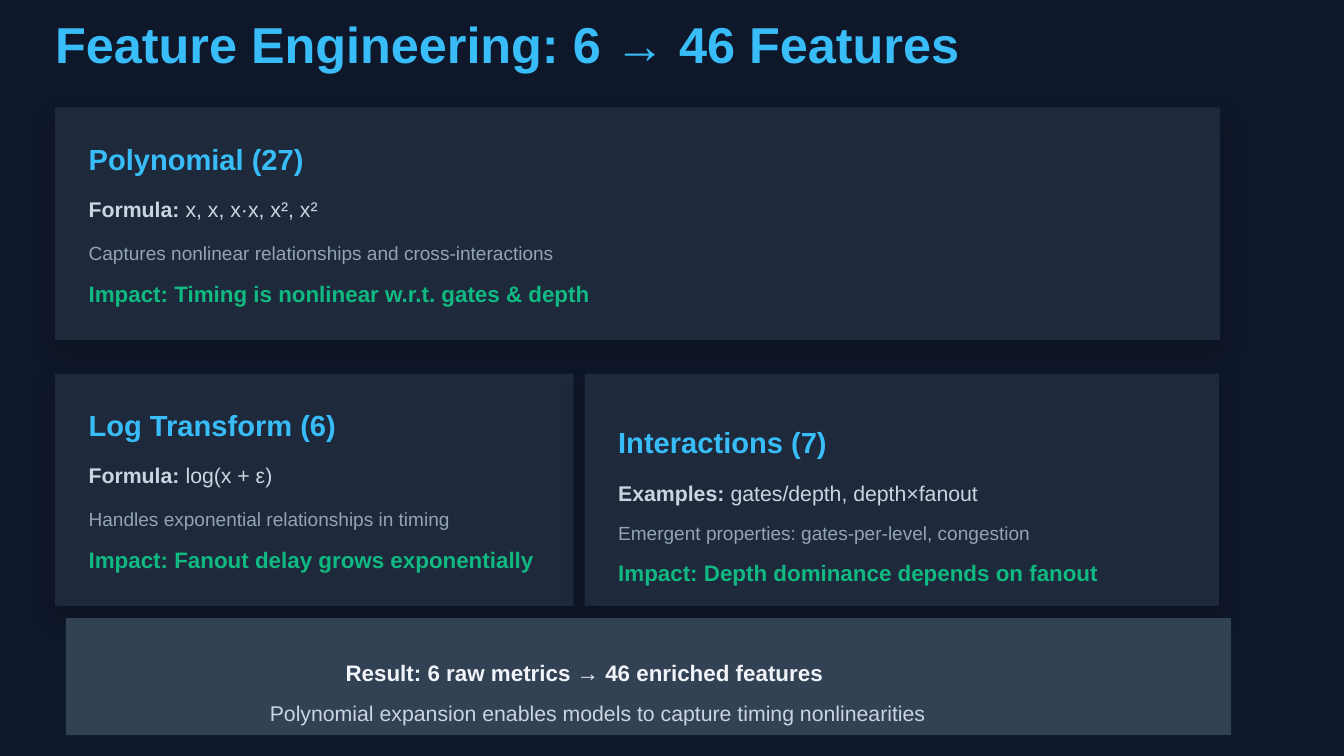
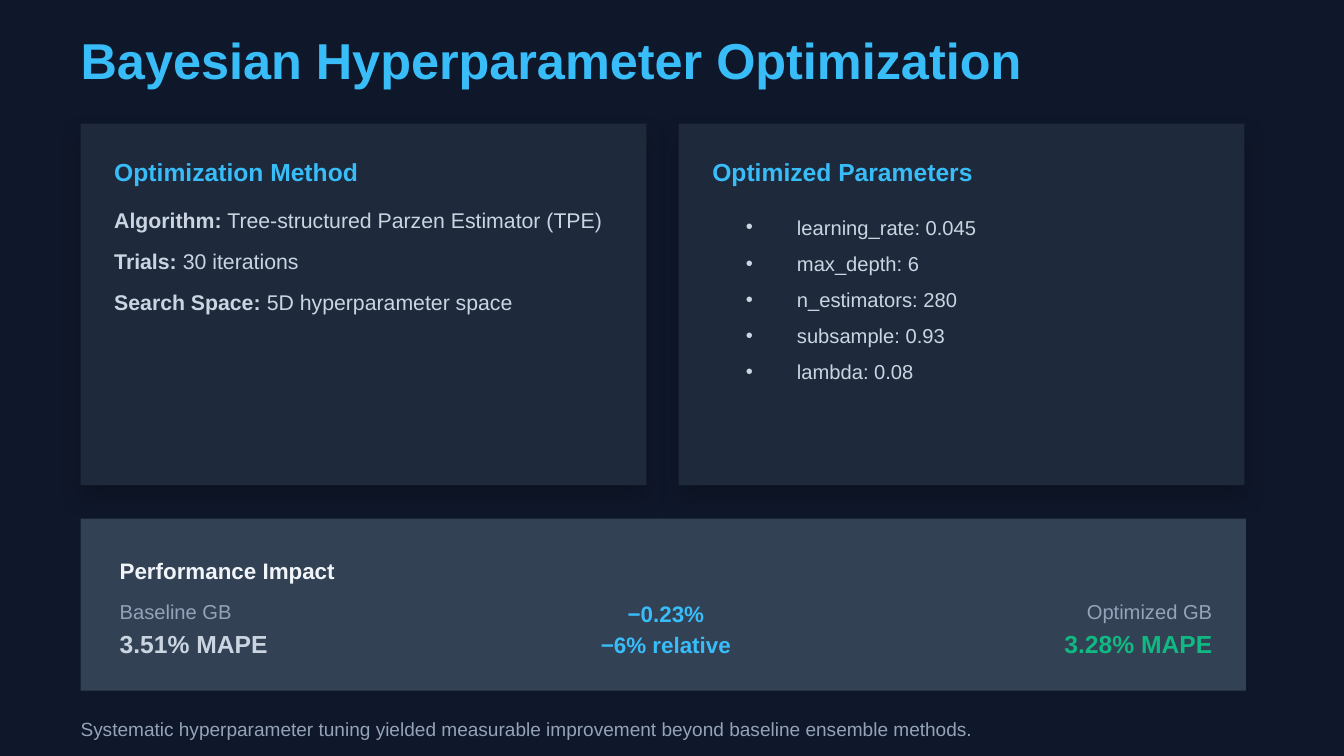
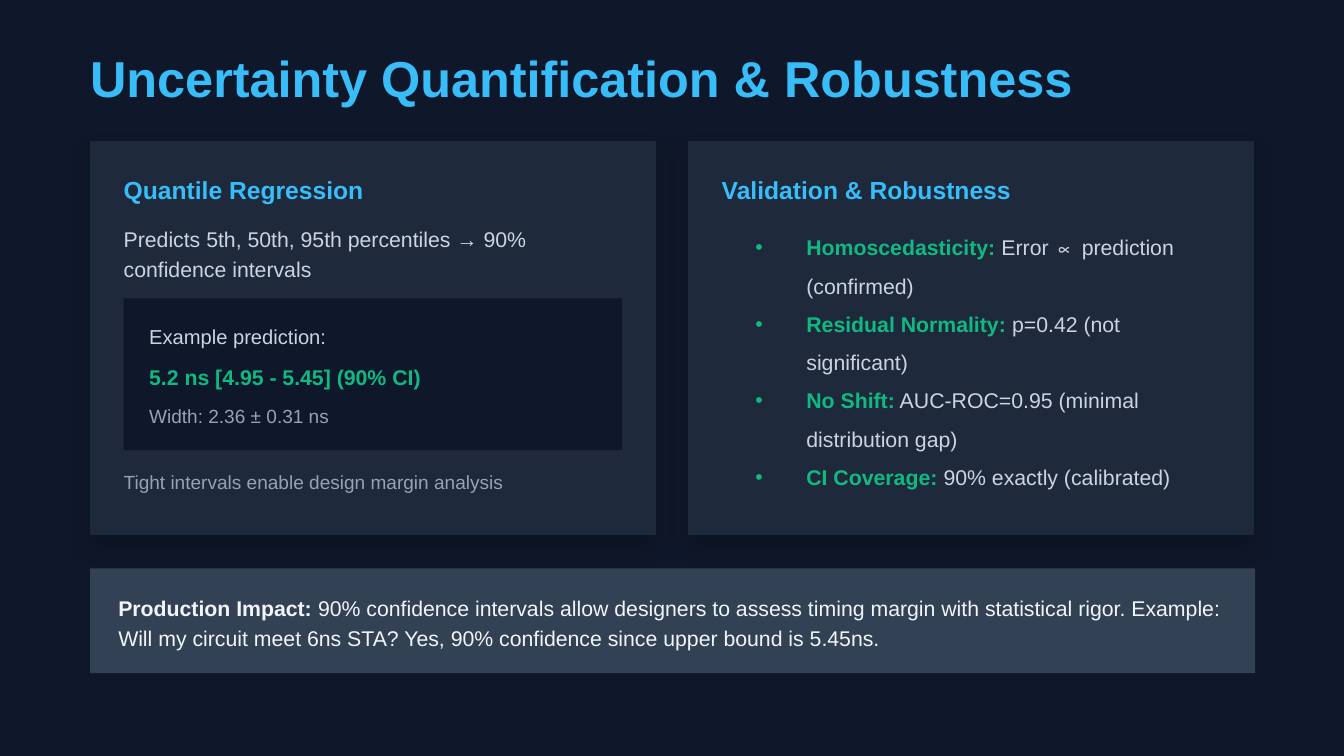
from dataclasses import dataclass, field

from lxml.etree import SubElement
from pptx import Presentation
from pptx.dml.color import RGBColor
from pptx.enum.shapes import MSO_SHAPE
from pptx.enum.text import MSO_ANCHOR, MSO_AUTO_SIZE, PP_ALIGN
from pptx.oxml.ns import qn
from pptx.util import Inches, Pt


@dataclass(frozen=True)
class Style:
    size: float
    color: str
    bold: bool = False
    leading: float = 1.4

    @property
    def line(self):
        return round(self.size * self.leading, 1)


@dataclass(frozen=True)
class Theme:
    font: str = "Arial"
    background: str = "0F172A"
    card: str = "1E293B"
    band: str = "334155"
    accent: str = "38BDF8"
    positive: str = "10B981"
    body: str = "CBD5E1"
    muted: str = "94A3B8"
    bright: str = "F1F5F9"
    styles: dict = field(default_factory=dict)

    def __post_init__(self):
        self.styles.update(
            title=Style(27, self.accent, True, 1.2),
            feature=Style(15.6, self.accent, True, 1.2),
            heading=Style(13.2, self.accent, True, 1.2),
            label=Style(11.4, self.body, True),
            text=Style(11.4, self.body),
            caption=Style(10.2, self.muted),
            impact=Style(12, self.positive, True),
            result=Style(12, self.bright, True),
            change=Style(12, self.accent, True),
            small=Style(10.8, self.body),
            metric=Style(10.8, self.muted),
            baseline=Style(13.2, self.body, True),
            optimized=Style(13.2, self.positive, True),
            prediction=Style(11.4, self.positive, True),
            parameter=Style(10.8, self.body, False, 1.8),
            check=Style(11.4, self.positive, True, 1.8),
            finding=Style(11.4, self.body, False, 1.8),
            notice_label=Style(11.4, self.bright, True),
            notice=Style(11.4, self.bright),
        )


class DeckBuilder:
    band_width = 8.67
    card_width = 4.21
    card_step = 4.45
    padding = 0.25
    text_width = 3.78

    def __init__(self, theme):
        self.theme = theme
        self.deck = Presentation()
        self.deck.slide_width = Inches(10)
        self.deck.slide_height = Inches(10) * 9 // 16
        self.fill(self.deck.slide_master.background, theme.background)
        self.page = None

    def fill(self, target, color):
        target.fill.solid()
        target.fill.fore_color.rgb = RGBColor.from_string(color)

    def place(self, shape, left, top, width, height):
        bounds = dict(left=left, top=top, width=width, height=height)
        for name, value in bounds.items():
            setattr(shape, name, Inches(value))

    def prepare(self, shape):
        formats = dict(margin_left=0, margin_top=0, margin_right=0, margin_bottom=0,
                       word_wrap=True, auto_size=MSO_AUTO_SIZE.NONE,
                       vertical_anchor=MSO_ANCHOR.TOP)
        for name, value in formats.items():
            setattr(shape.text_frame, name, value)
        return shape.text_frame

    def add_spans(self, para, spans, align=PP_ALIGN.LEFT):
        styles = self.theme.styles
        formats = dict(alignment=align, space_before=Pt(0), space_after=Pt(0),
                       line_spacing=Pt(styles[spans[0][1]].line))
        for name, value in formats.items():
            setattr(para, name, value)
        for words, style_name in spans:
            style = styles[style_name]
            span = para.add_run()
            span.text = words
            for name, value in dict(name=self.theme.font, size=Pt(style.size),
                                    bold=style.bold).items():
                setattr(span.font, name, value)
            span.font.color.rgb = RGBColor.from_string(style.color)

    def new_page(self, title, left, top, with_list=True):
        self.page = self.deck.slides.add_slide(self.deck.slide_layouts[1 if with_list else 5])
        box = self.page.shapes.title
        self.place(box, left, top, 8.84, 0.45)
        self.add_spans(self.prepare(box).paragraphs[0], [(title, "title")])

    def rectangle(self, left, top, width, height, color):
        box = self.page.shapes.add_shape(
            MSO_SHAPE.RECTANGLE, *map(Inches, (left, top, width, height)))
        self.fill(box, color)
        box.line.fill.background()
        box.shadow.inherit = False
        return box

    def card(self, left, top, width, height):
        box = self.rectangle(left, top, width, height, self.theme.card)
        effects = box.element.spPr.find(qn("a:effectLst"))
        shadow = SubElement(effects, qn("a:outerShdw"), blurRad=str(Pt(12)), dist=str(Pt(6)),
                            dir="5400000", algn="ctr", rotWithShape="0")
        tint = SubElement(shadow, qn("a:srgbClr"), val="000000")
        SubElement(tint, qn("a:alpha"), val="20000")

    def band(self, left, top, height):
        self.rectangle(left, top, self.band_width, height, self.theme.band)

    def text(self, left, top, width, *spans, align=PP_ALIGN.LEFT, lines=1):
        height = lines * self.theme.styles[spans[0][1]].line / 72
        box = self.page.shapes.add_textbox(*map(Inches, (left, top, width, height)))
        self.add_spans(self.prepare(box).paragraphs[0], spans, align)

    def panel(self, left, top, height, heading):
        self.card(left, top, self.card_width, height)
        self.text(left + self.padding, top + self.padding, self.text_width, (heading, "heading"))

    def feature_card(self, left, top, width, offsets, *rows):
        self.card(left, top, width, 1.73)
        for offset, spans in zip(offsets, rows):
            self.text(left + self.padding, top + offset, 8.33, *spans)

    def bullets(self, left, top, height, items):
        box = self.page.placeholders[1]
        self.place(box, left, top, 3.46, height)
        box.element.getparent().append(box.element)
        frame = self.prepare(box)
        for index, spans in enumerate(items):
            para = frame.add_paragraph() if index else frame.paragraphs[0]
            properties = para._p.get_or_add_pPr()
            properties.set("marL", str(Inches(0.38)))
            properties.set("indent", str(-Inches(0.38)))
            SubElement(properties, qn("a:buFont"), typeface=self.theme.font)
            SubElement(properties, qn("a:buChar"), char="•")
            self.add_spans(para, spans)


def build_features(builder):
    left, lower_top = 0.41, 2.78
    offsets = (0.25, 0.63, 0.97, 1.25)
    lowered_offsets = (0.38, 0.76, 1.07, 1.35)
    builder.new_page("Feature Engineering: 6 → 46 Features", left, 0.1, with_list=False)
    features = [
        (left, 0.8, builder.band_width, offsets, "Polynomial (27)", "Formula:",
         " x, x, x·x, x², x²", "Captures nonlinear relationships and cross-interactions",
         "Impact: Timing is nonlinear w.r.t. gates & depth"),
        (left, lower_top, 3.86, offsets, "Log Transform (6)", "Formula:",
         " log(x + ε)", "Handles exponential relationships in timing",
         "Impact: Fanout delay grows exponentially"),
        (4.35, lower_top, 4.72, lowered_offsets, "Interactions (7)", "Examples:",
         " gates/depth, depth×fanout", "Emergent properties: gates-per-level, congestion",
         "Impact: Depth dominance depends on fanout"),
    ]
    for card_left, top, width, rows, name, label, formula, purpose, impact in features:
        builder.feature_card(card_left, top, width, rows,
                             [(name, "feature")],
                             [(label, "label"), (formula, "text")],
                             [(purpose, "caption")],
                             [(impact, "impact")])
    builder.band(0.49, 4.6, 0.87)
    builder.text(0.12, 4.87, 8.46, ("Result: 6 raw metrics → 46 enriched features", "result"),
                 align=PP_ALIGN.CENTER)
    builder.text(0.22, 5.18, 8.46,
                 ("Polynomial expansion enables models to capture timing nonlinearities", "text"),
                 align=PP_ALIGN.CENTER)


def build_optimization(builder):
    left, top, height = 0.6, 0.92, 2.69
    right = left + builder.card_step
    builder.new_page("Bayesian Hyperparameter Optimization", left, 0.22)
    builder.panel(left, top, height, "Optimization Method")
    settings = [("Algorithm:", " Tree-structured Parzen Estimator (TPE)"),
                ("Trials:", " 30 iterations"),
                ("Search Space:", " 5D hyperparameter space")]
    for index, (label, value) in enumerate(settings):
        builder.text(left + builder.padding, 1.51 + index * 0.61 / 2, builder.text_width,
                     (label, "label"), (value, "text"))
    builder.panel(right, top, height, "Optimized Parameters")
    parameters = ("learning_rate: 0.045", "max_depth: 6", "n_estimators: 280",
                  "subsample: 0.93", "lambda: 0.08")
    builder.bullets(right + 0.5, 1.51, 1.85, [[(item, "parameter")] for item in parameters])

    builder.band(left, 3.86, 1.28)
    builder.text(0.89, 4.11, 8.29, ("Performance Impact", "result"))
    columns = [
        (PP_ALIGN.LEFT, 4.64, ("Baseline GB", "metric"), ("3.51% MAPE", "baseline")),
        (PP_ALIGN.CENTER, 4.66, ("−0.23%", "change"), ("−6% relative", "change")),
        (PP_ALIGN.RIGHT, 4.64, ("Optimized GB", "metric"), ("3.28% MAPE", "optimized")),
    ]
    for index, (align, value_top, label, value) in enumerate(columns):
        column_left = 0.89 + index * 2.74
        builder.text(column_left, 4.43, 2.65, label, align=align)
        builder.text(column_left, value_top, 2.65, value, align=align)
    builder.text(left, 5.31, 8.84,
                 ("Systematic hyperparameter tuning yielded measurable improvement "
                  "beyond baseline ensemble methods.", "caption"))


def build_robustness(builder):
    left, top, height = 0.67, 1.05, 2.93
    right = left + builder.card_step
    inner = left + builder.padding
    builder.new_page("Uncertainty Quantification & Robustness", left, 0.35)
    builder.panel(left, top, height, "Quantile Regression")
    builder.text(inner, 1.65, 3.71,
                 ("Predicts 5th, 50th, 95th percentiles → 90% confidence intervals", "text"),
                 lines=2)
    builder.rectangle(inner, 2.22, 3.71, 1.13, builder.theme.background)
    example = [("Example prediction:", "small"),
               ("5.2 ns [4.95 - 5.45] (90% CI)", "prediction"),
               ("Width: 2.36 ± 0.31 ns", "caption")]
    for index, span in enumerate(example):
        builder.text(1.11, 2.38 + index * 0.3, 3.42, span)
    builder.text(inner, 3.47, builder.text_width,
                 ("Tight intervals enable design margin analysis", "caption"))

    builder.panel(right, top, height, "Validation & Robustness")
    checks = [("Homoscedasticity:", " Error ∝ prediction (confirmed)"),
              ("Residual Normality:", " p=0.42 (not significant)"),
              ("No Shift:", " AUC-ROC=0.95 (minimal distribution gap)"),
              ("CI Coverage:", " 90% exactly (calibrated)")]
    builder.bullets(right + 0.5, 1.65, 2.08,
                    [[(name, "check"), (finding, "finding")] for name, finding in checks])

    builder.band(left, 4.23, 0.78)
    builder.text(0.88, 4.4, 8.29, ("Production Impact:", "notice_label"),
                 (" 90% confidence intervals allow designers to assess timing margin with "
                  "statistical rigor. Example: Will my circuit meet 6ns STA? Yes, 90% "
                  "confidence since upper bound is 5.45ns.", "notice"), lines=2)


def main():
    builder = DeckBuilder(Theme())
    build_features(builder)
    build_optimization(builder)
    build_robustness(builder)
    builder.deck.save("out.pptx")


if __name__ == "__main__":
    main()
